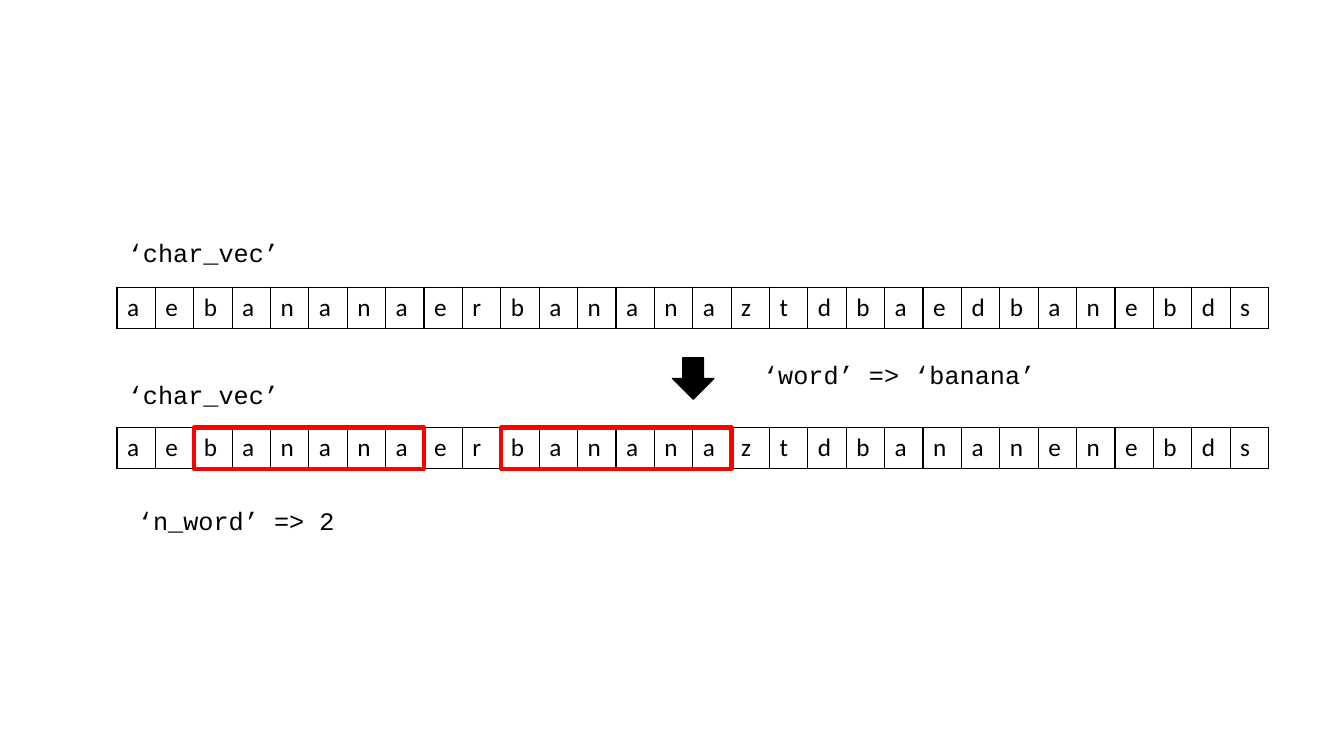
from dataclasses import dataclass

from lxml.etree import SubElement
from pptx import Presentation
from pptx.dml.color import RGBColor
from pptx.enum.shapes import MSO_SHAPE as Preset
from pptx.oxml.ns import qn
from pptx.util import Inches, Pt

BLACK, RED = "000000", "FF0000"
WORD = "banana"
STRIP_LEFT, STRIP_WIDTH, STRIP_HEIGHT = 1.16, 11.43, 0.41


@dataclass
class Strip:
    letters: str
    top: float
    marked: bool = False


@dataclass
class Label:
    text: str
    left: float
    top: float
    width: float


STRIPS = [
    Strip("aebananaerbananaztdbaedbanebds", 2.85),
    Strip("aebananaerbananaztdbananenebds", 4.24, marked=True),
]
LABELS = [
    Label("‘char_vec’", 1.17, 2.31, 1.87),
    Label("‘char_vec’", 1.17, 3.71, 1.87),
    Label("‘word’ => ‘banana’", 7.47, 3.52, 2.94),
    Label("‘n_word’ => 2", 1.27, 4.96, 2.94),
]


def color(value: str) -> RGBColor:
    return RGBColor.from_string(value)


def write(frame, text: str, font_name: str) -> None:
    span = frame.paragraphs[0].add_run()
    span.text = text
    for name, value in {"name": font_name, "size": Pt(18), "bold": False}.items():
        setattr(span.font, name, value)
    span.font.color.rgb = color(BLACK)


def add_borders(cell) -> None:
    properties = cell._tc.get_or_add_tcPr()
    for side in ("a:lnL", "a:lnR", "a:lnT", "a:lnB"):
        line = SubElement(properties, qn(side), w=str(Pt(1)))
        fill = SubElement(line, qn("a:solidFill"))
        SubElement(fill, qn("a:srgbClr"), val=BLACK)


def add_shape(page, preset, left: float, top: float, width: float, height: float,
              line: str, weight: float, fill: str | None = None) -> None:
    shape = page.shapes.add_shape(
        preset, Inches(left), Inches(top), Inches(width), Inches(height))
    shape.shadow.inherit = False
    shape.line.color.rgb = color(line)
    shape.line.width = Pt(weight)
    if fill:
        shape.fill.solid()
        shape.fill.fore_color.rgb = color(fill)
    else:
        shape.fill.background()


def add_strip(page, strip: Strip) -> None:
    """Draw one letter per cell and frame each occurrence of the word if marked."""
    count = len(strip.letters)
    pitch = STRIP_WIDTH / count
    table = page.shapes.add_table(
        1, count, Inches(STRIP_LEFT), Inches(strip.top),
        Inches(STRIP_WIDTH), Inches(STRIP_HEIGHT)).table
    table.first_row = table.horz_banding = False
    for index, letter in enumerate(strip.letters):
        table.columns[index].width = Inches(pitch)
        cell = table.cell(0, index)
        add_borders(cell)
        cell.fill.background()
        write(cell.text_frame, letter, "Calibri")
    if strip.marked:
        for start in range(count):
            if strip.letters.startswith(WORD, start):
                add_shape(page, Preset.RECTANGLE, STRIP_LEFT + start * pitch, strip.top,
                          len(WORD) * pitch, STRIP_HEIGHT, RED, 3)


def add_label(page, label: Label) -> None:
    box = page.shapes.add_textbox(
        Inches(label.left), Inches(label.top), Inches(label.width), Inches(0.4))
    box.text_frame.word_wrap = True
    write(box.text_frame, label.text, "Courier New")


def main() -> None:
    deck = Presentation()
    deck.slide_width, deck.slide_height = Inches(13.33), Inches(7.5)
    page = deck.slides.add_slide(deck.slide_layouts[6])
    for strip in STRIPS:
        add_strip(page, strip)
    add_shape(page, Preset.DOWN_ARROW, 6.67, 3.55, 0.41, 0.41, BLACK, 1, fill=BLACK)
    for label in LABELS:
        add_label(page, label)
    deck.save("out.pptx")


if __name__ == "__main__":
    main()
